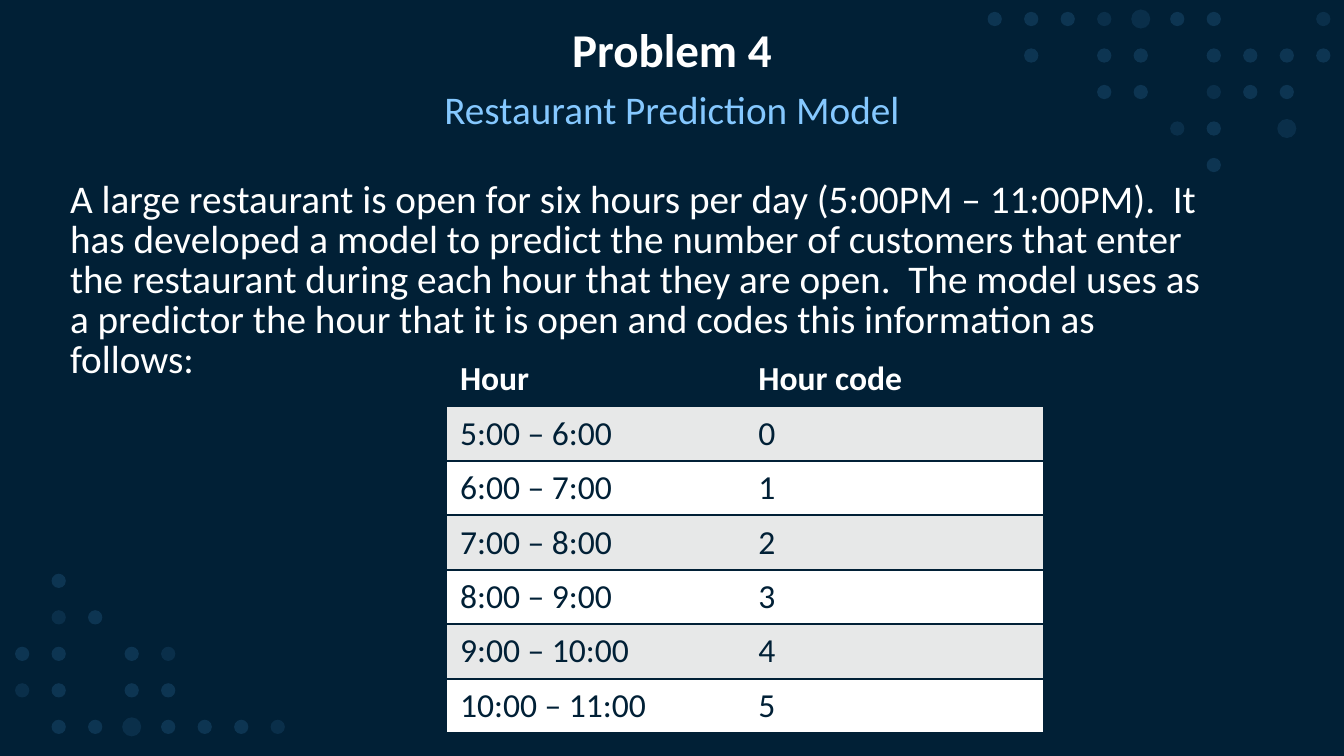
from lxml import etree
from pptx import Presentation
from pptx.dml.color import RGBColor
from pptx.enum.shapes import MSO_SHAPE
from pptx.enum.text import MSO_ANCHOR, MSO_AUTO_SIZE, PP_ALIGN
from pptx.oxml.ns import qn
from pptx.util import Cm, Pt

OVAL = MSO_SHAPE.OVAL
CENTER, LEFT = PP_ALIGN.CENTER, PP_ALIGN.LEFT
MIDDLE, TOP = MSO_ANCHOR.MIDDLE, MSO_ANCHOR.TOP
NO_AUTOFIT = MSO_AUTO_SIZE.NONE

FONT = "Calibri"
NAVY, WHITE, GRAY = "012036", "FFFFFF", "E7E8E8"
SKY, DOT_BLUE = "85C8FF", "5CB5FF"
NO_STYLE_NO_GRID = "{2D5ABB26-0587-4C30-8999-92F81FD0307C}"

# Dot kinds: diameter in cm and opacity in percent; "-" is an empty place.
DOT_KINDS = {"o": (0.27, 14), ".": (0.27, 10), "O": (0.36, 10)}
DOT_PITCH = 0.69
TOP_DOTS = ["ooo.Ooo--.", "-o-oo-oooo", "---oo-.oo-", "-----.o-O-", "------o---"]
BOTTOM_DOTS = ["-o------", "-.o-----", "oo-o.---", ".o-oo---", "-ooOooo."]

QUESTION = (
    "A large restaurant is open for six hours per day (5:00PM – 11:00PM).  "
    "It has developed a model to predict the number of customers that enter "
    "the restaurant during each hour that they are open.  The model uses as "
    "a predictor the hour that it is open and codes this information as follows:"
)
HOURS = ["5:00 – 6:00", "6:00 – 7:00", "7:00 – 8:00",
         "8:00 – 9:00", "9:00 – 10:00", "10:00 – 11:00"]


def color(hex_text):
    return RGBColor.from_string(hex_text)


def format_font(font, size, hex_text, bold=False):
    font.name, font.size, font.bold = FONT, Pt(size), bold
    font.color.rgb = color(hex_text)


def add_dots(page, left, top, pattern):
    """Draw a dot grid whose first place is centred on (left, top), in cm."""
    for row, line in enumerate(pattern):
        for column, kind in enumerate(line):
            if kind == "-":
                continue
            size, opacity = DOT_KINDS[kind]
            x = left + column * DOT_PITCH - size / 2
            y = top + row * DOT_PITCH - size / 2
            dot = page.shapes.add_shape(OVAL, Cm(x), Cm(y), Cm(size), Cm(size))
            dot.shadow.inherit = False
            dot.line.fill.background()
            dot.fill.solid()
            dot.fill.fore_color.rgb = color(DOT_BLUE)
            solid = dot.fill._xPr.find(qn("a:solidFill"))
            etree.SubElement(solid[0], qn("a:alpha"), val=str(opacity * 1000))


def fill_placeholder(holder, box, text, size, hex_text, bold=False,
                     align=LEFT, anchor=TOP, line_spacing=0.85, space_before=8):
    holder.left, holder.top, holder.width, holder.height = map(Cm, box)
    frame = holder.text_frame
    frame.text = text
    frame.word_wrap = True
    frame.auto_size = NO_AUTOFIT
    frame.vertical_anchor = anchor
    para = frame.paragraphs[0]
    para.alignment = align
    para.line_spacing = line_spacing
    para.space_before = Pt(space_before)
    properties = para._p.get_or_add_pPr()
    properties.set("marL", "0")
    properties.set("indent", "0")
    etree.SubElement(properties, qn("a:buNone"))
    format_font(para.runs[0].font, size, hex_text, bold)


def add_border(cell, side):
    line = etree.SubElement(cell._tc.get_or_add_tcPr(), qn(f"a:ln{side}"),
                            w=str(Pt(1)))
    solid = etree.SubElement(line, qn("a:solidFill"))
    etree.SubElement(solid, qn("a:srgbClr"), val=NAVY)


def add_hour_table(page, box):
    rows = [("Hour", "Hour code")]
    rows += [(hour, str(code)) for code, hour in enumerate(HOURS)]
    graphic = page.shapes.add_table(len(rows), 2, *map(Cm, box))
    for style in graphic._element.iter(qn("a:tableStyleId")):
        style.text = NO_STYLE_NO_GRID
    for row, texts in enumerate(rows):
        is_header = row == 0
        background = NAVY if is_header else (WHITE, GRAY)[row % 2]
        for column, text in enumerate(texts):
            cell = graphic.table.cell(row, column)
            for side in ("LTB", "RTB")[column]:
                add_border(cell, side)
            cell.fill.solid()
            cell.fill.fore_color.rgb = color(background)
            cell.text_frame.text = text
            span = cell.text_frame.paragraphs[0].runs[0]
            format_font(span.font, 18, WHITE if is_header else NAVY, is_header)


def build_problem_slide(deck):
    two_content = deck.slide_layouts[3]
    page = deck.slides.add_slide(two_content)
    page.background.fill.solid()
    page.background.fill.fore_color.rgb = color(NAVY)
    add_dots(page, 18.8, 0.36, TOP_DOTS)
    add_dots(page, 0.42, 10.98, BOTTOM_DOTS)
    title, question, subtitle = page.placeholders
    fill_placeholder(title, (1.75, 0.36, 21.9, 1.27), "Problem 4", 25.2, WHITE,
                     bold=True, align=CENTER, anchor=MIDDLE,
                     line_spacing=0.9, space_before=0)
    fill_placeholder(question, (1.07, 3.3, 21.9, 4.8), QUESTION, 21, WHITE)
    fill_placeholder(subtitle, (1.75, 1.63, 21.9, 1.27),
                     "Restaurant Prediction Model", 21, SKY, align=CENTER)
    add_hour_table(page, (8.44, 6.65, 11.28, 7.2))


def main():
    deck = Presentation()
    deck.slide_width, deck.slide_height = Cm(25.4), Cm(14.29)
    build_problem_slide(deck)
    deck.save("out.pptx")


if __name__ == "__main__":
    main()
